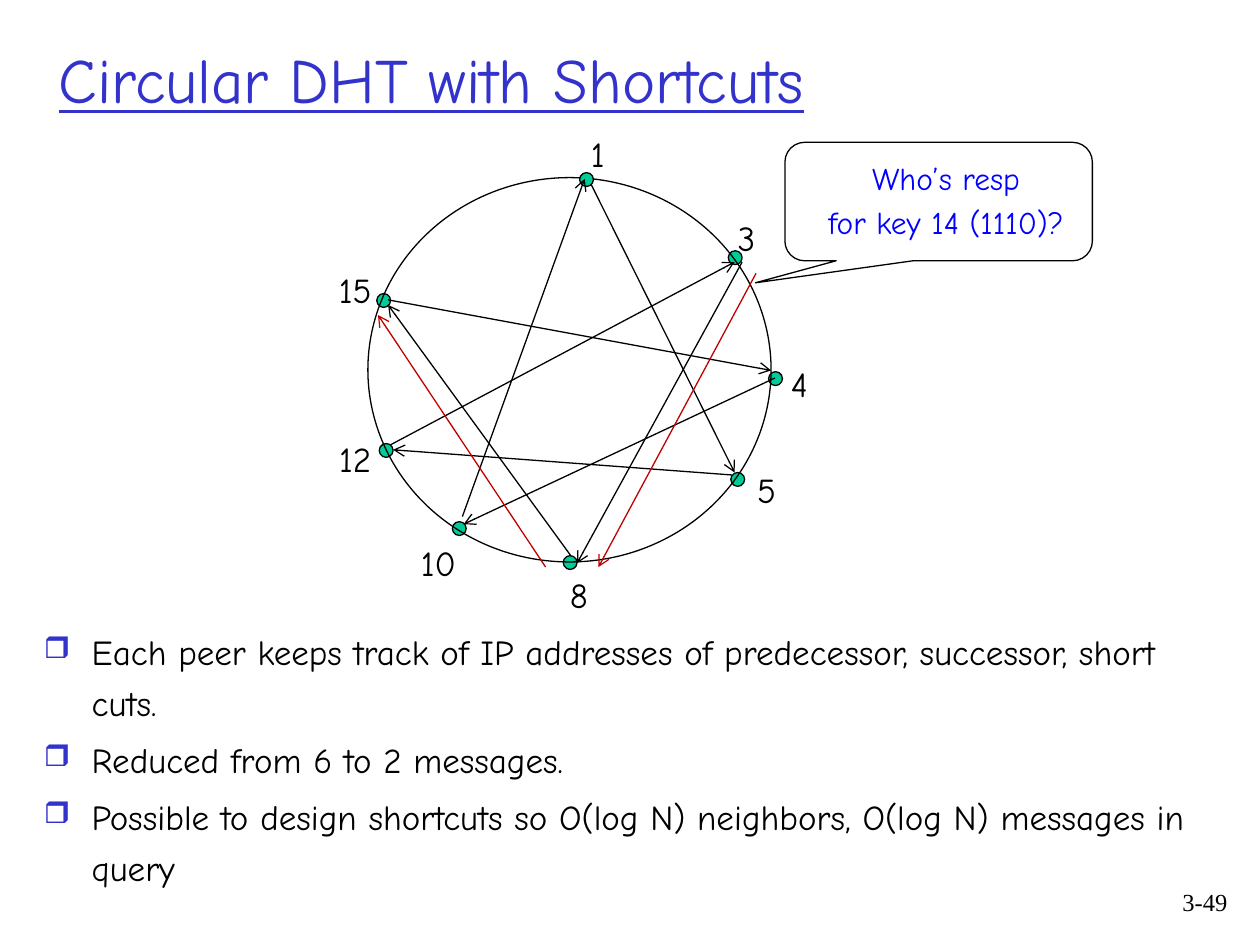
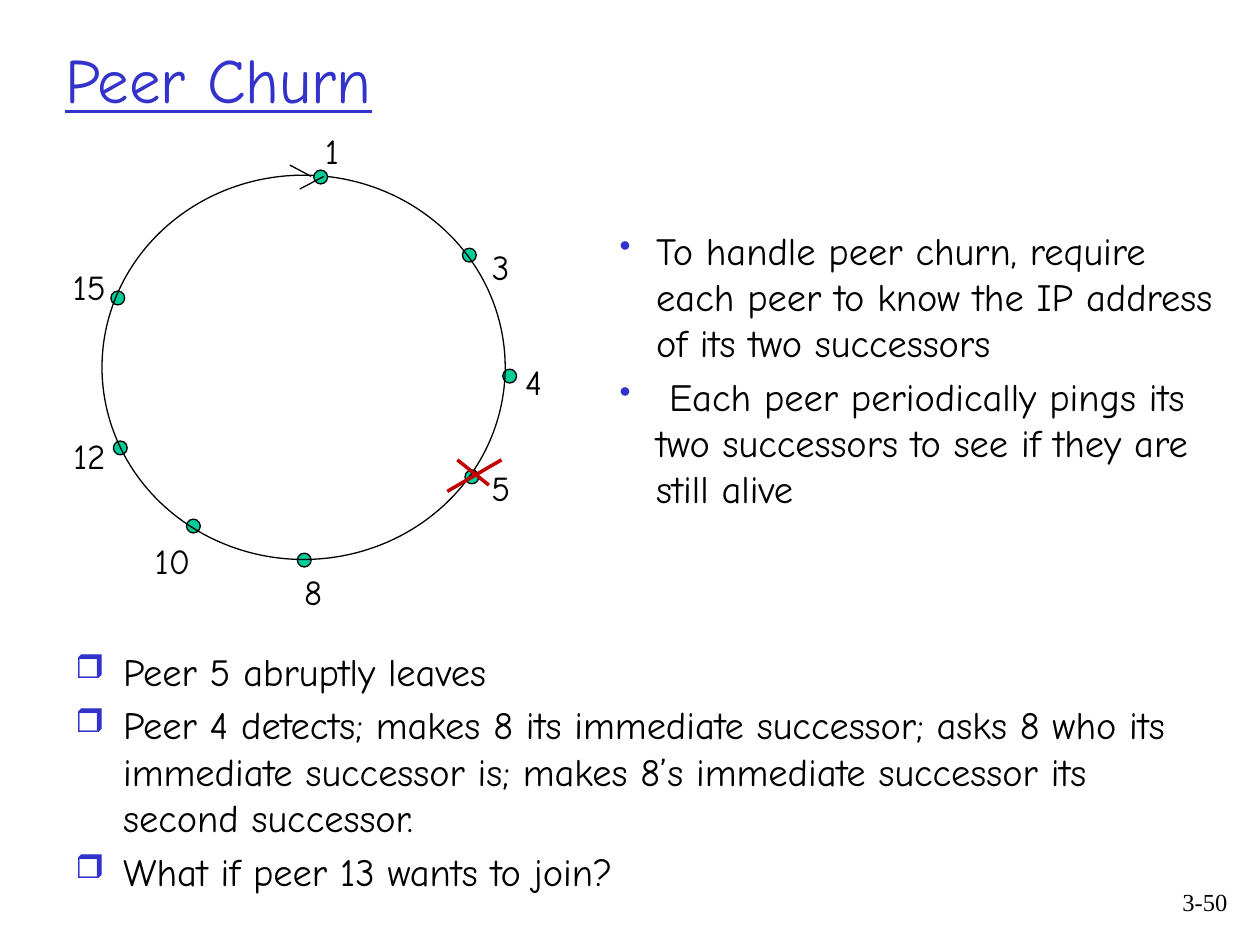
from lxml.etree import SubElement
from pptx import Presentation
from pptx.dml.color import RGBColor
from pptx.enum.shapes import MSO_CONNECTOR, MSO_SHAPE
from pptx.enum.text import MSO_ANCHOR, PP_ALIGN
from pptx.oxml.ns import qn
from pptx.util import Inches, Pt

BLACK, TITLE_BLUE, CALLOUT_BLUE = "000000", "3333CC", "0000FF"
PEER_GREEN, SIGNAL_RED = "00CC99", "C00000"
BODY_FONT, NUMBER_FONT = "Comic Neue", "Times New Roman"
SPACE_BEFORE = 0.2  # share of the text size

RING_SIZE = (3.2, 3.05)
DOT_SIZE = 0.11
LABEL_HEIGHT = 0.44
LABEL_WIDTHS = {1: 0.37, 2: 0.5}  # by number of digits

# Offsets from the top left corner of the ring
PEER_DOTS = {
    "8": (1.55, 3.0), "15": (0.07, 0.92), "12": (0.09, 2.11), "3": (2.86, 0.58),
    "4": (3.18, 1.54), "5": (2.88, 2.34), "10": (0.67, 2.73), "1": (1.68, -0.04),
}
PEER_LABELS = {
    "1": (1.64, -0.41), "3": (2.98, 0.51), "4": (3.24, 1.42), "5": (2.98, 2.26),
    "8": (1.49, 3.09), "10": (0.31, 2.84), "12": (-0.35, 2.01), "15": (-0.35, 0.67),
}
SHORTCUTS = [
    ((3.23, 1.59), (0.76, 2.75)), ((2.89, 2.36), (0.2, 2.16)),
    ((1.61, 3.0), (0.16, 1.01)), ((0.75, 2.69), (1.72, 0.01)),
    ((0.18, 2.12), (2.91, 0.67)), ((0.16, 0.97), (3.2, 1.53)),
    ((1.77, 0.05), (2.91, 2.34)), ((2.97, 0.67), (1.66, 3.06)),
]
QUERY_PATH = [((3.08, 0.76), (1.83, 3.09)), ((1.41, 3.09), (0.08, 1.09))]
RING_ARROWHEAD = [((1.49, -0.08), (1.66, 0.01)), ((1.76, 0.01), (1.57, 0.11))]
LEAVING_CROSS = [((2.82, 2.26), (3.07, 2.46)), ((3.17, 2.26), (2.74, 2.51))]


def rgb(color):
    return RGBColor.from_string(color)


def add_bullet(paragraph, bullet, indent):
    properties = paragraph._p.get_or_add_pPr()
    properties.set("marL", str(Inches(indent)))
    properties.set("indent", str(-Inches(indent)))
    color = SubElement(properties, qn("a:buClr"))
    SubElement(color, qn("a:srgbClr"), val=TITLE_BLUE)
    SubElement(properties, qn("a:buSzPct"), val="85000")
    SubElement(properties, qn("a:buChar"), char=bullet)


def add_text(slide, text, box, size=20, font=BODY_FONT, color=BLACK, align=PP_ALIGN.LEFT,
             anchor=MSO_ANCHOR.TOP, wrap=True, underline=None, space_before=SPACE_BEFORE,
             line_spacing=None, bullet=None, indent=0.38):
    """Add a text box with one paragraph for each line of text."""
    shape = slide.shapes.add_textbox(*map(Inches, box))
    frame = shape.text_frame
    frame.word_wrap = wrap
    frame.vertical_anchor = anchor
    frame.text = text
    for paragraph in frame.paragraphs:
        paragraph.alignment = align
        paragraph.space_before = Pt(size * space_before)
        if line_spacing:
            paragraph.line_spacing = line_spacing
        if bullet:
            add_bullet(paragraph, bullet, indent)
        for run in paragraph.runs:
            run.font.size = Pt(size)
            run.font.name = font
            run.font.underline = underline
            run.font.color.rgb = rgb(color)


def add_outlined_shape(slide, kind, box, fill=None):
    shape = slide.shapes.add_shape(kind, *map(Inches, box))
    shape.shadow.inherit = False
    if fill:
        shape.fill.solid()
        shape.fill.fore_color.rgb = rgb(fill)
    else:
        shape.fill.background()
    shape.line.color.rgb = rgb(BLACK)
    shape.line.width = Pt(0.75)
    return shape


def add_lines(slide, origin, lines, color=BLACK, width=0.75, arrow=False):
    """Draw straight lines whose ends are offsets from origin."""
    left, top = origin
    for (x1, y1), (x2, y2) in lines:
        ends = (left + x1, top + y1, left + x2, top + y2)
        connector = slide.shapes.add_connector(MSO_CONNECTOR.STRAIGHT, *map(Inches, ends))
        connector.line.color.rgb = rgb(color)
        connector.line.width = Pt(width)
        if arrow:
            SubElement(connector.line._get_or_add_ln(), qn("a:tailEnd"), type="arrow")
        SubElement(connector._element.spPr, qn("a:effectLst"))


def add_peer_dot(slide, origin, peer):
    x, y = PEER_DOTS[peer]
    box = (origin[0] + x, origin[1] + y, DOT_SIZE, DOT_SIZE)
    add_outlined_shape(slide, MSO_SHAPE.OVAL, box, PEER_GREEN)


def add_peer_ring(slide, origin, moved_labels=None):
    left, top = origin
    for peer in PEER_DOTS:
        if peer != "1":
            add_peer_dot(slide, origin, peer)
    add_outlined_shape(slide, MSO_SHAPE.OVAL, (left, top, *RING_SIZE))
    for peer, (x, y) in {**PEER_LABELS, **(moved_labels or {})}.items():
        box = (left + x, top + y, LABEL_WIDTHS[len(peer)], LABEL_HEIGHT)
        add_text(slide, peer, box, align=PP_ALIGN.CENTER, wrap=False)
    add_peer_dot(slide, origin, "1")  # the first peer lies over the ring line


def add_callout(slide, text, box):
    left, top, width, height = box
    callout = add_outlined_shape(slide, MSO_SHAPE.ROUNDED_RECTANGULAR_CALLOUT, box)
    for index, value in enumerate((-0.596, 0.686, 0.167)):
        callout.adjustments[index] = value
    add_text(slide, text, (left + 0.11, top + 0.08, width - 0.02, height - 0.17),
             size=18, color=CALLOUT_BLUE, align=PP_ALIGN.CENTER)


def add_base_slide(presentation, title, title_left, number):
    """Add a blank slide with the shared title and page number."""
    slide = presentation.slides.add_slide(presentation.slide_layouts[6])
    add_text(slide, number, (9.08, 6.99, 0.76, 0.5), size=14, font=NUMBER_FONT,
             align=PP_ALIGN.RIGHT, space_before=0)
    add_text(slide, title, (title_left, 0, 9, 1.25), size=36, color=TITLE_BLUE,
             anchor=MSO_ANCHOR.MIDDLE, underline=True, space_before=0)
    return slide


def build_shortcuts_slide(presentation):
    slide = add_base_slide(presentation, "Circular DHT with Shortcuts", 0.37, "3-49")
    add_text(slide, "Each peer keeps track of IP addresses of predecessor, successor, short cuts.\n"
                    "Reduced from 6 to 2 messages.\n"
                    "Possible to design shortcuts so O(log N) neighbors, O(log N) messages in query",
             (0.25, 4.89, 9.36, 1.83), line_spacing=1.2, bullet="❒")
    ring = (2.92, 1.41)
    add_peer_ring(slide, ring, moved_labels={"3": (2.82, 0.26)})
    add_lines(slide, ring, SHORTCUTS, arrow=True)
    add_lines(slide, ring, QUERY_PATH, color=SIGNAL_RED, arrow=True)
    add_callout(slide, "Who’s resp \nfor key 14 (1110)? ", (6.23, 1.13, 2.44, 0.94))


def build_churn_slide(presentation):
    slide = add_base_slide(presentation, "Peer Churn", 0.42, "3-50")
    add_text(slide, "Peer 5 abruptly leaves\n"
                    "Peer 4 detects; makes 8 its immediate successor; asks 8 who its immediate "
                    "successor is; makes 8’s immediate successor its second successor.\n"
                    "What if peer 13 wants to join?",
             (0.5, 5.09, 9.06, 2.17), size=22, bullet="❒")
    ring = (0.81, 1.39)
    add_peer_ring(slide, ring)
    add_lines(slide, ring, RING_ARROWHEAD)
    add_lines(slide, ring, LEAVING_CROSS, color=SIGNAL_RED, width=2)
    add_text(slide, "To handle peer churn, require each peer to know the IP address of its two "
                    "successors\n"
                    " Each peer periodically pings its two successors to see if they are still alive",
             (4.82, 1.75, 4.97, 2.4), size=22, bullet="•", indent=0.29)


def main():
    presentation = Presentation()
    presentation.slide_width = Inches(10)
    presentation.slide_height = Inches(7.5)
    build_shortcuts_slide(presentation)
    build_churn_slide(presentation)
    presentation.save("out.pptx")


if __name__ == "__main__":
    main()
